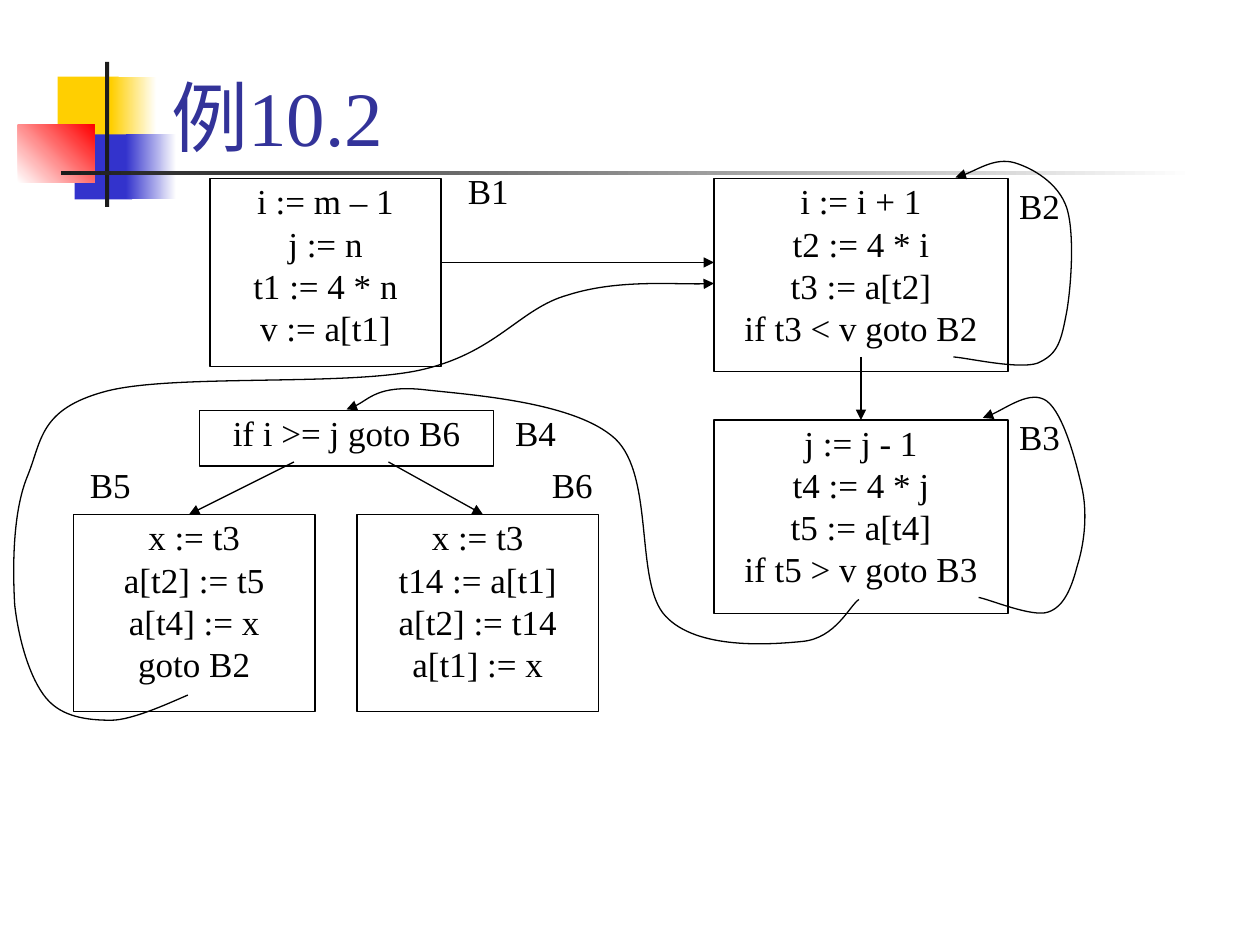
from dataclasses import dataclass

import pptx
import pptx.util
import pptx.dml.color
import pptx.enum.shapes
import pptx.enum.text
import pptx.oxml.ns
from lxml import etree

qn = pptx.oxml.ns.qn
RGB = pptx.dml.color.RGBColor.from_string
RECT = pptx.enum.shapes.MSO_SHAPE.RECTANGLE
ANCHOR = pptx.enum.text.MSO_ANCHOR
ALIGN = pptx.enum.text.PP_ALIGN


@dataclass(frozen=True)
class Theme:
    font: str = "Times New Roman"
    title_size: int = 44
    body_size: int = 20
    line_width: float = 0.75
    ink: str = "000000"
    title: str = "333399"
    yellow: str = "FFCF01"
    blue: str = "3333CC"
    red: str = "FF0000"
    bar: str = "1C1C1C"
    white: str = "FFFFFF"


class FlowSlide:
    """Draws on a grid of 120 columns by 90 rows."""

    COLS = 120

    def __init__(self, prs, theme):
        self.theme = theme
        self.unit = prs.slide_width / self.COLS
        self.slide = prs.slides.add_slide(prs.slide_layouts[5])
        self.shapes = self.slide.shapes

    def grid(self, *values):
        return [round(v * self.unit) for v in values]

    def add_text(self, tf, lines, size, color, align, spacing=1.0, before=0):
        tf.word_wrap = True
        tf.auto_size = pptx.enum.text.MSO_AUTO_SIZE.NONE
        for i, line in enumerate(lines):
            p = tf.paragraphs[0] if i == 0 else tf.add_paragraph()
            p.alignment = align
            p.line_spacing = spacing
            p.space_before = pptx.util.Pt(before)
            r = p.add_run()
            r.text = line
            r.font.name = self.theme.font
            r.font.size = pptx.util.Pt(size)
            r.font.color.rgb = RGB(color)

    def title(self, text, *at):
        sp = self.shapes.title
        sp.left, sp.top, sp.width, sp.height = self.grid(*at)
        sp.text_frame.vertical_anchor = ANCHOR.BOTTOM
        self.add_text(sp.text_frame, [text], self.theme.title_size,
                      self.theme.title, ALIGN.LEFT)

    def band(self, at, start, end=None, angle=0):
        """Borderless rectangle, solid or fading from start to end."""
        sp = self.shapes.add_shape(RECT, *self.grid(*at))
        sp.shadow.inherit = False
        sp.line.fill.background()
        if end is None:
            sp.fill.solid()
            sp.fill.fore_color.rgb = RGB(start)
            return
        sp.fill.gradient()
        sp.fill.gradient_angle = angle
        for stop, color in zip(sp.fill.gradient_stops, (start, end)):
            stop.color.rgb = RGB(color)

    def block(self, at, lines):
        sp = self.shapes.add_shape(RECT, *self.grid(*at))
        sp.shadow.inherit = False
        sp.fill.background()
        self.stroke(sp.line)
        sp.text_frame.vertical_anchor = ANCHOR.TOP
        self.add_text(sp.text_frame, lines, self.theme.body_size,
                      self.theme.ink, ALIGN.CENTER, 0.9, 2.5)
        return sp

    def label(self, text, at, spacing=0.9, before=2.5):
        sp = self.shapes.add_textbox(*self.grid(*at))
        self.add_text(sp.text_frame, [text], self.theme.body_size,
                      self.theme.ink, ALIGN.CENTER, spacing, before)

    def stroke(self, line):
        line.color.rgb = RGB(self.theme.ink)
        line.width = pptx.util.Pt(self.theme.line_width)

    def arrowhead(self, sp):
        ln = sp._element.spPr.find(qn("a:ln"))
        etree.SubElement(ln, qn("a:tailEnd"), type="triangle")

    def arrow(self, *ends, target=None):
        straight = pptx.enum.shapes.MSO_CONNECTOR.STRAIGHT
        cxn = self.shapes.add_connector(straight, *self.grid(*ends))
        if target is not None:
            cxn.end_connect(target, 0)
        self.stroke(cxn.line)
        self.arrowhead(cxn)
        etree.SubElement(cxn._element.spPr, qn("a:effectLst"))

    def curve(self, start, *points):
        """Bezier arrow; each three points are two controls and an end."""
        builder = self.shapes.build_freeform(*self.grid(*start))
        builder.add_line_segments([self.grid(*pt) for pt in points], close=False)
        sp = builder.convert_to_shape()
        segments = list(sp._element.iter(qn("a:lnTo")))
        for i in range(0, len(segments), 3):
            bezier = etree.Element(qn("a:cubicBezTo"))
            segments[i].addprevious(bezier)
            for segment in segments[i:i + 3]:
                bezier.append(segment[0])
                segment.getparent().remove(segment)
        sp.shadow.inherit = False
        sp.fill.background()
        self.stroke(sp.line)
        self.arrowhead(sp)


def main():
    prs = pptx.Presentation()
    prs.slide_width = pptx.util.Inches(10)
    prs.slide_height = pptx.util.Inches(7.5)
    th = Theme()
    s = FlowSlide(prs, th)

    s.band((5.5, 7.3, 5.8, 6.2), th.yellow)
    s.band((10.6, 7.3, 4.3, 6.2), th.yellow, th.white)
    s.band((7.1, 12.8, 5.5, 6.2), th.blue)
    s.band((12, 12.8, 4.8, 6.2), th.blue, th.white)
    s.band((1.7, 11.9, 7.3, 5.5), th.white, th.red, angle=45)
    s.band((10, 5.9, 0.4, 13.8), th.bar)
    s.band((5.8, 16.3, 108, 0.4), th.bar, th.white)
    s.title("例10.2", 15.1, 1, 102.2, 15)

    s.block((20, 17, 22, 17.9), ["i := m – 1", "j := n", "t1 := 4 * n", "v := a[t1]"])
    s.block((68, 17, 28, 18.4),
            ["i := i + 1", "t2 := 4 * i", "t3 := a[t2]", "if t3 < v goto B2"])
    b3 = s.block((68, 40, 28, 18.4),
                 ["j := j - 1", "t4 := 4 * j", "t5 := a[t4]", "if t5 > v goto B3"])
    s.block((19, 39.1, 28, 5.3), ["if i >= j goto B6"])
    s.block((7, 49, 23, 18.8), ["x := t3", "a[t2] := t5", "a[t4] := x", "goto B2"])
    s.block((34, 49, 23, 18.8), ["x := t3", "t14 := a[t1]", "a[t2] := t14", "a[t1] := x"])

    s.arrow(42, 25, 68, 25)
    s.arrow(82, 34, 82, 40, target=b3)
    s.arrow(28, 44, 18, 49)
    s.arrow(37, 44, 46, 49)

    s.label("B1", (43, 16, 7, 5.3))
    s.label("B2", (95, 17, 8, 5.8), 1.0, 12.5)
    s.label("B3", (95, 39, 8, 5.8), 1.0, 12.5)
    s.label("B4", (47, 39.1, 8, 5.3))
    s.label("B5", (7, 44, 7, 5.3))
    s.label("B6", (51, 44, 7, 5.3))

    # B3 to B4
    s.curve((81.8, 57.1),
            (80.9, 57.7), (79.6, 60.8), (76.4, 61.1),
            (73.3, 61.4), (66.4, 61.9), (63.4, 58.7),
            (60.4, 55.6), (62.4, 45.4), (58.6, 41.8),
            (54.7, 38.2), (44.5, 37.6), (40.2, 37.1),
            (36, 36.7), (34.6, 38.6), (33, 39))
    # B3 to itself
    s.curve((93.2, 56.9),
            (94.3, 57.1), (98.3, 58.8), (99.8, 58.3),
            (101.4, 57.8), (102.1, 55.8), (102.6, 53.9),
            (103.2, 52), (103.6, 49.3), (103.1, 46.7),
            (102.5, 44), (101.3, 39.4), (99.7, 38.2),
            (98.2, 37.1), (94.9, 39.5), (93.6, 39.8))
    # B2 to itself
    s.curve((90.8, 34),
            (92.2, 34.1), (97, 35.2), (98.8, 34.6),
            (100.6, 33.8), (101, 32.8), (101.5, 30.2),
            (102, 27.8), (102.4, 22.3), (101.6, 19.8),
            (100.8, 17.4), (98.3, 16), (96.6, 15.5),
            (94.8, 15), (92.2, 16.7), (91, 16.9))
    # B5 to B2
    s.curve((17.9, 66.2),
            (16.7, 66.7), (12.7, 68.6), (10.6, 68.6),
            (8.3, 68.6), (5.9, 68.3), (4.4, 66.5),
            (2.9, 64.7), (1.8, 61.1), (1.4, 57.6),
            (1.2, 54.1), (1.2, 48.8), (2.6, 45.4),
            (4, 42), (3.7, 39), (10, 37.3),
            (16.2, 35.6), (32.5, 36.8), (39.8, 35.3),
            (47.3, 33.7), (49.4, 29.4), (54.1, 28.1),
            (58.8, 26.6), (65.2, 27.2), (68, 27))

    prs.save("out.pptx")


if __name__ == "__main__":
    main()
